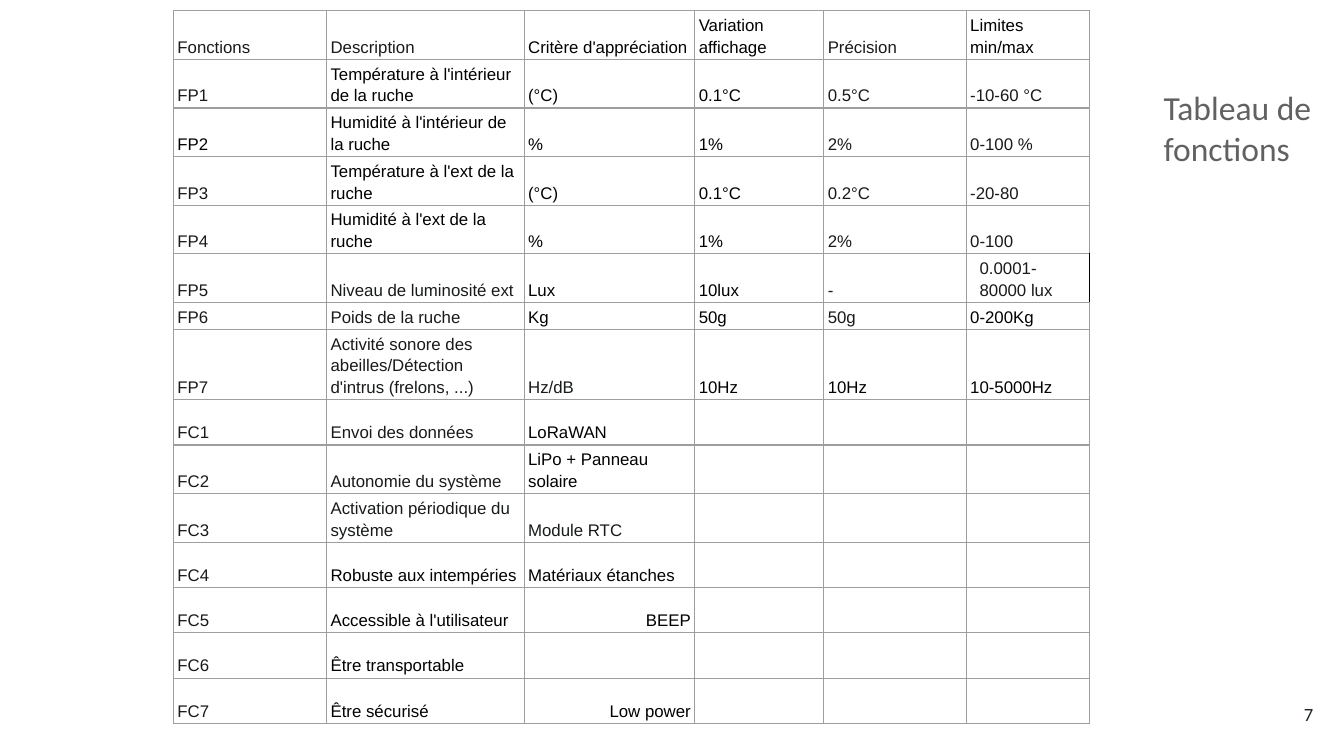
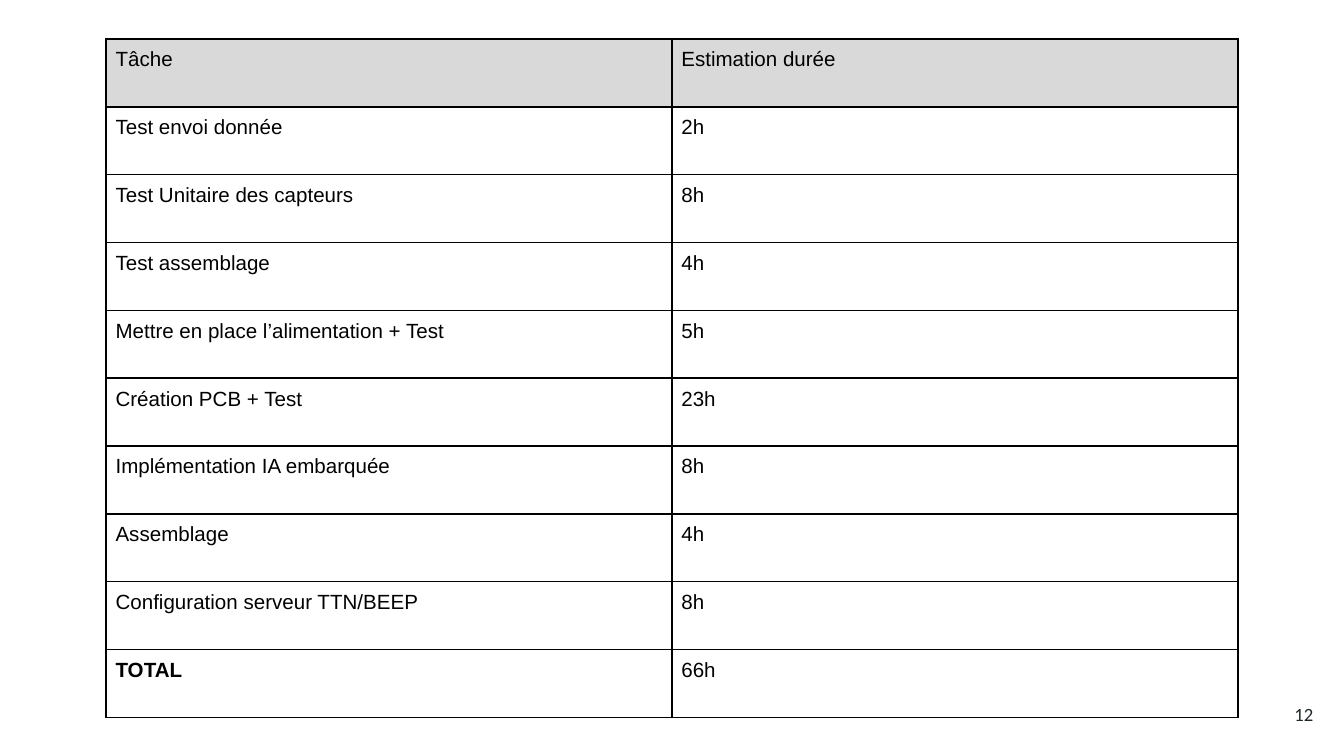
"""Build the function table and the task estimate slides."""
from dataclasses import dataclass

from lxml import etree
from pptx import Presentation
from pptx import util as u
from pptx.dml.color import RGBColor
from pptx.enum import text
from pptx.oxml.ns import qn

SCALE = 4572


def px(length):
    return u.Emu(length * SCALE)


@dataclass(frozen=True)
class Theme:
    body_font: str = "Arial"
    heading_font: str = "Calibri"
    black: str = "000000"
    ink: str = "181A1B"
    title: str = "616161"
    number: str = "202729"
    grid: str = "9E9E9E"
    header_fill: str = "D9D9D9"
    title_size: int = 18
    number_size: int = 10
    function_size: int = 9
    task_size: int = 11
    empty_size: int = 14


def write(frame, content, *, font, size, color, bold=False, align=None, spacing=None):
    paragraph = frame.paragraphs[0]
    paragraph.alignment = align
    paragraph.line_spacing = spacing
    run = paragraph.add_run()
    run.text = content
    run.font.name = font
    run.font.size = u.Pt(size)
    run.font.bold = bold
    run.font.color.rgb = RGBColor.from_string(color)


class Deck:
    def __init__(self, presentation, theme):
        self.presentation = presentation
        self.theme = theme
        self.slide = None

    def add_slide(self):
        layout = self.presentation.slide_layouts[6]
        self.slide = self.presentation.slides.add_slide(layout)

    def page_number(self, number):
        self.text_box(1854, 1020, 120, 86, str(number), anchor=text.MSO_ANCHOR.MIDDLE,
                      align=text.PP_ALIGN.RIGHT, size=self.theme.number_size,
                      color=self.theme.number)

    def text_box(self, left, top, width, height, content,
                 anchor=text.MSO_ANCHOR.TOP, **style):
        shape = self.slide.shapes.add_textbox(px(left), px(top), px(width), px(height))
        frame = shape.text_frame
        frame.word_wrap = True
        frame.vertical_anchor = anchor
        frame.margin_left = frame.margin_right = px(20)
        frame.margin_top = frame.margin_bottom = px(20)
        write(frame, content, font=self.theme.heading_font, **style)

    def table(self, left, top, widths, heights, frame_side=656):
        shape = self.slide.shapes.add_table(len(heights), len(widths), px(left), px(top),
                                            px(frame_side), px(frame_side))
        table = shape.table
        table.first_row = table.horz_banding = False
        for column, width in zip(table.columns, widths):
            column.width = px(width)
        for row, height in zip(table.rows, heights):
            row.height = px(height)
        shape.width = shape.height = px(frame_side)
        return table

    def cell(self, cell, content, *, inset, border, border_width, right_border=None,
             fill=None, anchor=text.MSO_ANCHOR.TOP, **style):
        properties = cell._tc.get_or_add_tcPr()
        for side in "LRTB":
            color = right_border if side == "R" and right_border else border
            line = etree.SubElement(properties, qn(f"a:ln{side}"),
                                    w=str(u.Pt(border_width)))
            solid = etree.SubElement(line, qn("a:solidFill"))
            etree.SubElement(solid, qn("a:srgbClr"), val=color)
        if fill:
            cell.fill.solid()
            cell.fill.fore_color.rgb = RGBColor.from_string(fill)
        else:
            cell.fill.background()
        if not content:
            etree.SubElement(cell.text_frame.paragraphs[0]._p, qn("a:endParaRPr"),
                             sz=str(self.theme.empty_size * 100))
            return
        cell.margin_left = cell.margin_right = px(inset[0])
        cell.margin_top = cell.margin_bottom = px(inset[1])
        cell.vertical_anchor = anchor
        write(cell.text_frame, content, font=self.theme.body_font, **style)


COLUMN_WIDTHS = (228, 294, 254, 192, 212, 184)
RIGHT_ALIGNED = ("BEEP", "Low power")
WIDE_INSET = "0.0001-80000 lux"

FUNCTIONS = (
    (22, "ddkkdk", ("Fonctions", "Description", "Critère d'appréciation",
                    "Variation affichage", "Précision", "Limites min/max")),
    (70, "dkkkdd", ("FP1", "Température à l'intérieur de la ruche", "(°C)",
                    "0.1°C", "0.5°C", "-10-60 °C")),
    (70, "kkkkdd", ("FP2", "Humidité à l'intérieur de la ruche", "%",
                    "1%", "2%", "0-100 %")),
    (70, "dkkkdd", ("FP3", "Température à l'ext de la ruche", "(°C)",
                    "0.1°C", "0.2°C", "-20-80")),
    (70, "dkkkdd", ("FP4", "Humidité à l'ext de la ruche", "%", "1%", "2%", "0-100")),
    (70, "ddkkdd", ("FP5", "Niveau de luminosité ext", "Lux", "10lux", "-", WIDE_INSET)),
    (36, "ddkkdk", ("FP6", "Poids de la ruche", "Kg", "50g", "50g", "0-200Kg")),
    (104, "dddkkk", ("FP7", "Activité sonore des abeilles/Détection d'intrus (frelons, ...)",
                     "Hz/dB", "10Hz", "10Hz", "10-5000Hz")),
    (48, "ddkkkk", ("FC1", "Envoi des données", "LoRaWAN", "", "", "")),
    (70, "ddkkkk", ("FC2", "Autonomie du système", "LiPo + Panneau solaire", "", "", "")),
    (70, "dddkkk", ("FC3", "Activation périodique du système", "Module RTC", "", "", "")),
    (48, "dkkkkk", ("FC4", "Robuste aux intempéries", "Matériaux étanches", "", "", "")),
    (48, "dkkkkk", ("FC5", "Accessible à l'utilisateur", "BEEP", "", "", "")),
    (48, "dkkkkk", ("FC6", "Être transportable", "", "", "", "")),
    (48, "dkkkkk", ("FC7", "Être sécurisé", "Low power", "", "", "")),
)

TASKS = (
    ("Tâche", "Estimation durée"),
    ("Test envoi donnée", "2h"),
    ("Test Unitaire des capteurs", "8h"),
    ("Test assemblage", "4h"),
    ("Mettre en place l’alimentation + Test", "5h"),
    ("Création PCB + Test", "23h"),
    ("Implémentation IA embarquée", "8h"),
    ("Assemblage", "4h"),
    ("Configuration serveur TTN/BEEP", "8h"),
    ("TOTAL", "66h"),
)


def function_slide(deck):
    theme = deck.theme
    deck.add_slide()
    inks = {"d": theme.ink, "k": theme.black}
    table = deck.table(258, 16, COLUMN_WIDTHS, [height for height, _, _ in FUNCTIONS])
    for row, (_, ink, contents) in enumerate(FUNCTIONS):
        for column, content in enumerate(contents):
            wide = content == WIDE_INSET
            deck.cell(table.cell(row, column), content,
                      inset=(20 if wide else 6, 4),
                      border=theme.grid, border_width=0.75,
                      right_border=theme.black if wide else None,
                      anchor=text.MSO_ANCHOR.BOTTOM,
                      size=theme.function_size, color=inks[ink[column]], spacing=1.15,
                      align=text.PP_ALIGN.RIGHT if content in RIGHT_ALIGNED else None)
    deck.text_box(1712, 110, 270, 498, "Tableau de fonctions",
                  size=theme.title_size, color=theme.title)
    deck.page_number(7)


def task_slide(deck):
    theme = deck.theme
    deck.add_slide()
    table = deck.table(158, 58, (842, 842), [101] * len(TASKS))
    for row, contents in enumerate(TASKS):
        for column, content in enumerate(contents):
            deck.cell(table.cell(row, column), content, inset=(14, 14),
                      border=theme.black, border_width=1,
                      fill=theme.header_fill if row == 0 else None,
                      size=theme.task_size, color=theme.black, bold=content == "TOTAL")
    deck.page_number(12)


def main():
    presentation = Presentation()
    presentation.slide_width = px(2000)
    presentation.slide_height = px(1125)
    deck = Deck(presentation, Theme())
    function_slide(deck)
    task_slide(deck)
    presentation.save("out.pptx")


if __name__ == "__main__":
    main()
